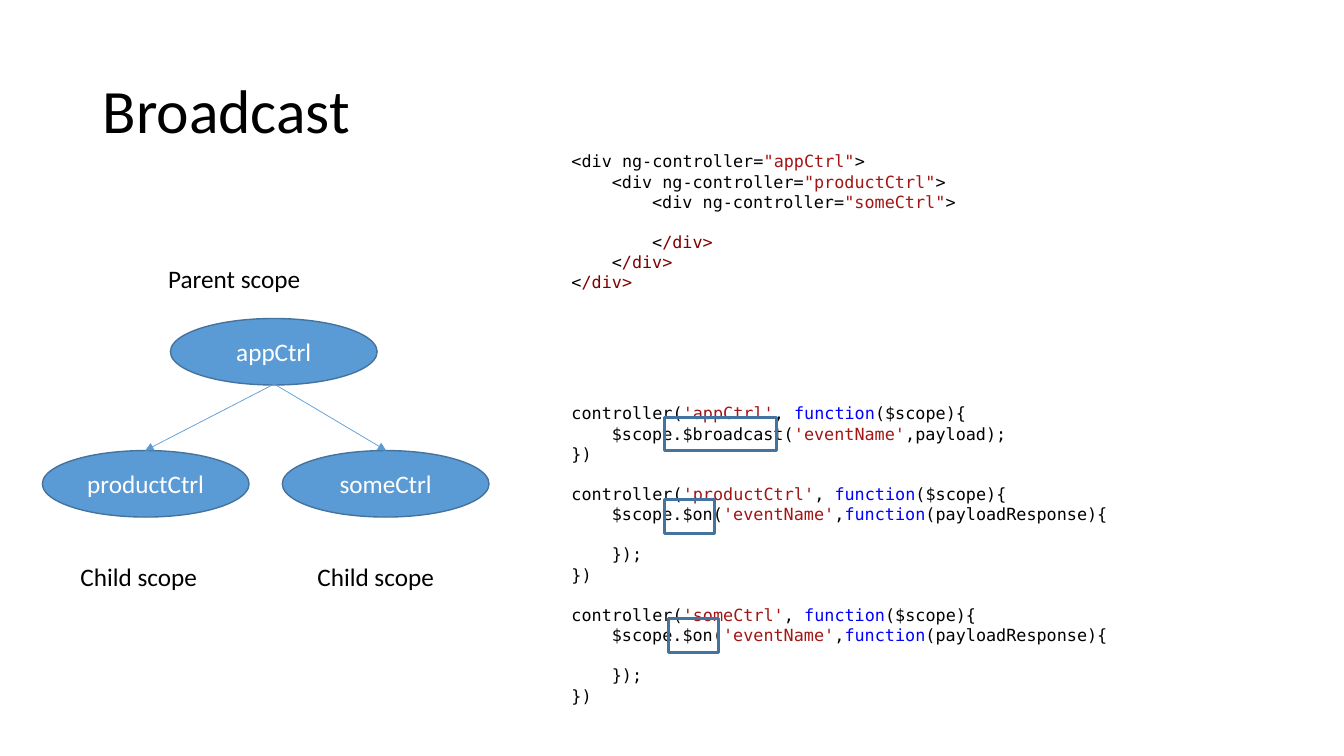
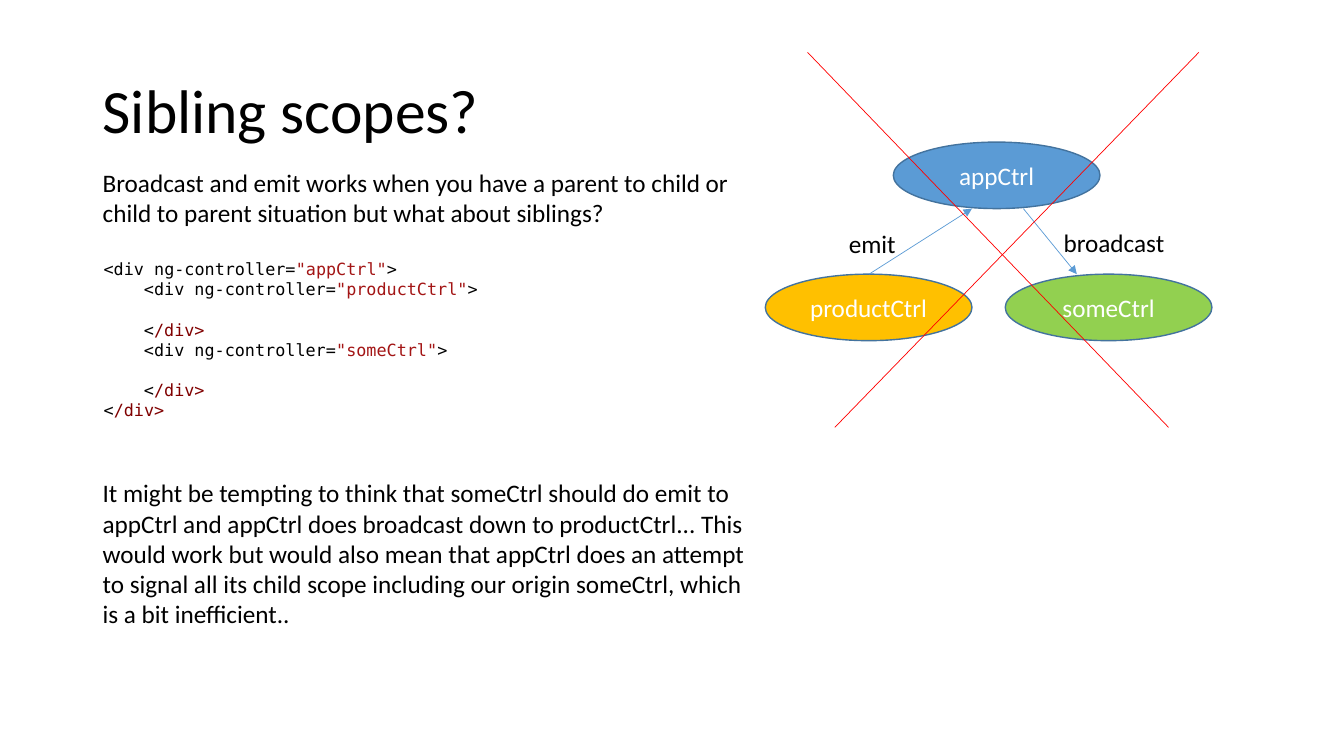
"""Builds two slides on passing events between nested controller scopes."""
from lxml import etree
from pptx import Presentation
from pptx import util as u
from pptx.dml import color
from pptx.enum import shapes, text
from pptx.oxml import ns

BLACK, WHITE, RED = "000000", "FFFFFF", "FF0000"
BLUE, EDGE, GOLD, GREEN = "5B9BD5", "43739E", "FFC000", "92D050"
TOKENS = {'"': "A31515", "'": "A31515", "/": "800000", "f": "0000FF"}
LABEL = {"name": "Calibri", "size": u.Pt(18)}
TITLE = {"name": "Calibri", "size": u.Pt(44)}
CODE = {"name": "DejaVu Sans Mono", "size": u.Pt(12)}
CODE_LINE = 14.4
CHAR_W = 0.1
NODE_W, NODE_H = 2.05, 0.66
NODES = [("appCtrl", 1.27, 0), ("productCtrl", 0, 1.31), ("someCtrl", 2.38, 1.31)]

NESTED = """<div ng-controller=|"appCtrl"|>
    <div ng-controller=|"productCtrl"|>
        <div ng-controller=|"someCtrl"|>

        <|/div>
    <|/div>
<|/div>"""

SIBLINGS = """<div ng-controller=|"appCtrl"|>
    <div ng-controller=|"productCtrl"|>

    <|/div>
    <div ng-controller=|"someCtrl"|>

    <|/div>
<|/div>"""

SENDER = """controller(|'appCtrl'|, |function|($scope){
    $scope.$broadcast(|'eventName'|,payload);
})"""

LISTENER = """

controller(|'%s'|, |function|($scope){
    $scope.$on(|'eventName'|,|function|(payloadResponse){

    });
})"""


def rgb(value):
    """Return the colour of a hex string."""
    return color.RGBColor.from_string(value)


class Deck:
    """Holds the presentation, its style and the current slide."""

    def __init__(self):
        """Open a widescreen presentation."""
        self.prs = Presentation()
        self.prs.slide_width = u.Inches(13.33)
        self.prs.slide_height = u.Inches(7.5)

    def slide(self, title):
        """Add a blank slide with its title."""
        self.s = self.prs.slides.add_slide(self.prs.slide_layouts[6])
        tf = self.label(title, 0.92, 0.4, 11.5, 1.45, font=TITLE)
        tf.vertical_anchor = text.MSO_ANCHOR.MIDDLE
        tf.paragraphs[0].line_spacing = 0.9

    def run(self, p, words, font, ink):
        """Add a formatted run to a paragraph."""
        r = p.add_run()
        r.text = words
        for name, value in font.items():
            setattr(r.font, name, value)
        r.font.color.rgb = rgb(ink)

    def box(self, x, y, w, h, wrap=True):
        """Add an empty text box and return its frame."""
        tf = self.s.shapes.add_textbox(*map(u.Inches, (x, y, w, h))).text_frame
        tf.word_wrap = wrap
        return tf

    def label(self, words, x, y, w, h=0.4, wrap=True, font=LABEL):
        """Add a text box holding one paragraph."""
        tf = self.box(x, y, w, h, wrap)
        self.run(tf.paragraphs[0], words, font, BLACK)
        return tf

    def code(self, source, x, y, h):
        """Add a listing, with indents and gaps as paragraph settings."""
        tf = self.box(x, y, 6.67, h)
        p, gap = tf.paragraphs[0], 0
        for line in source.splitlines():
            body = line.lstrip()
            if not body:
                gap += CODE_LINE
                continue
            if p.runs:
                p = tf.add_paragraph()
            p.line_spacing, p.space_before = u.Pt(CODE_LINE), u.Pt(gap)
            indent = u.Inches(CHAR_W * (len(line) - len(body)))
            p._p.get_or_add_pPr().set("marL", str(indent))
            for part in body.split("|"):
                self.run(p, part, CODE, TOKENS.get(part[0], BLACK))
            gap = 0

    def shape(self, kind, x, y, w, h, fill=None, width=1):
        """Add an outlined preset shape, filled if a colour is given."""
        sp = self.s.shapes.add_shape(kind, *map(u.Inches, (x, y, w, h)))
        sp.shadow.inherit = False
        if fill:
            sp.fill.solid()
            sp.fill.fore_color.rgb = rgb(fill)
        else:
            sp.fill.background()
        sp.line.color.rgb = rgb(EDGE)
        sp.line.width = u.Pt(width)
        return sp

    def frame(self, x, y, w):
        """Add a hollow frame around a call in a listing."""
        self.shape(shapes.MSO_SHAPE.RECTANGLE, x, y, w, 0.33, width=2.25)

    def tree(self, x, y, fills):
        """Add the parent node and its two child nodes."""
        for (name, dx, dy), fill in zip(NODES, fills):
            sp = self.shape(shapes.MSO_SHAPE.OVAL, x + dx, y + dy, NODE_W, NODE_H, fill)
            tf = sp.text_frame
            tf.vertical_anchor = text.MSO_ANCHOR.MIDDLE
            tf.word_wrap = False
            p = tf.paragraphs[0]
            p.alignment = text.PP_ALIGN.CENTER
            self.run(p, name, LABEL, WHITE)

    def line(self, x1, y1, x2, y2, ink=BLUE, arrow=True):
        """Add a thin straight line, with an arrowhead at its end."""
        ends = map(u.Inches, (x1, y1, x2, y2))
        c = self.s.shapes.add_connector(shapes.MSO_CONNECTOR.STRAIGHT, *ends)
        c.line.color.rgb = rgb(ink)
        c.line.width = u.Pt(0.5)
        if arrow:
            etree.SubElement(c.line._get_or_add_ln(), ns.qn("a:tailEnd"), type="triangle")
        etree.SubElement(c._element.spPr, ns.qn("a:effectLst"))


deck = Deck()

deck.slide("Broadcast")
deck.tree(0.42, 3.16, [BLUE] * 3)
for child_x in (1.44, 3.83):
    deck.line(2.72, 3.81, child_x, 4.47)
for words, x, y, w in [("Parent scope", 1.57, 2.56, 1.53),
                       ("Child scope", 0.7, 5.52, 1.37),
                       ("Child scope", 3.05, 5.52, 1.37)]:
    deck.label(words, x, y, w, wrap=False)
deck.code(NESTED, 5.57, 1.45, 1.51)
deck.code(SENDER + LISTENER % "productCtrl" + LISTENER % "someCtrl", 5.57, 3.95, 3.13)
for x, y, w in [(6.59, 4.14, 1.11), (6.59, 4.96, 0.5), (6.63, 6.14, 0.5)]:
    deck.frame(x, y, w)

deck.slide("Sibling scopes?")
deck.label("Broadcast and emit works when you have a parent to child or child to parent "
           "situation but what about siblings?", 0.92, 1.61, 6.67, 0.71)
deck.code(SIBLINGS, 0.93, 2.52, 1.72)
deck.label("It might be tempting to think that someCtrl should do emit to appCtrl and "
           "appCtrl does broadcast down to productCtrl... This would work but would also "
           "mean that appCtrl does an attempt to signal all its child scope including our "
           "origin someCtrl, which is a bit inefficient..", 0.92, 4.69, 6.67, 1.62)
deck.tree(7.59, 1.41, [BLUE, GOLD, GREEN])
deck.line(8.62, 2.72, 9.64, 2.07)
deck.line(10.15, 2.07, 10.68, 2.72)
deck.label("emit", 8.32, 2.22, 0.67, wrap=False)
deck.label("broadcast", 10.45, 2.21, 1.21, wrap=False)
for top_x, bottom_x in [(8.01, 11.59), (11.89, 8.28)]:
    deck.line(top_x, 0.52, bottom_x, 4.24, RED, arrow=False)

deck.prs.save("out.pptx")
